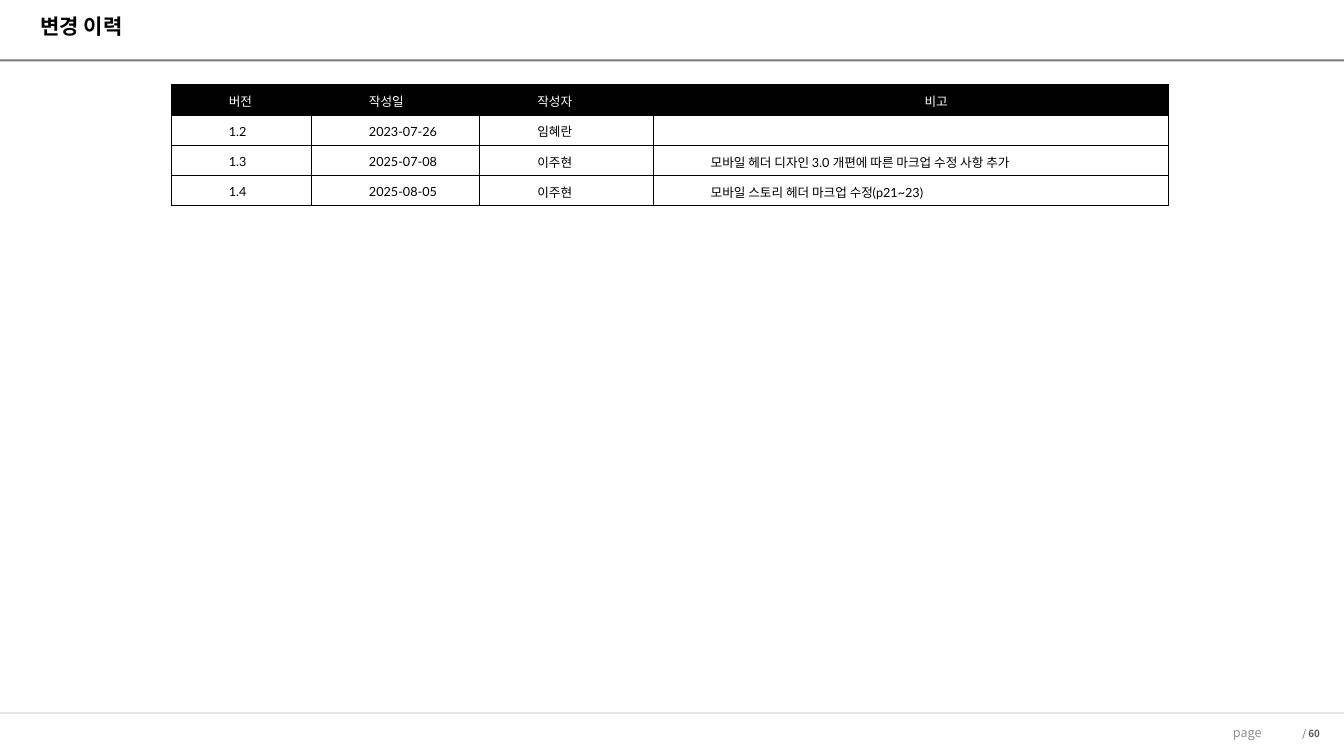
from dataclasses import dataclass
from typing import Any

from lxml.etree import SubElement
from pptx import Presentation
from pptx.dml.color import RGBColor
from pptx.enum.shapes import MSO_SHAPE
from pptx.enum.text import MSO_ANCHOR, PP_ALIGN
from pptx.oxml.ns import qn
from pptx.util import Inches, Pt

HUES = {"black": "000000", "white": "FFFFFF", "rule": "777777",
        "pale": "BEBEBE", "page": "909090", "count": "595959"}
SANS = "Noto Sans CJK KR"
WIDE = 13.33


@dataclass
class Bar:
    top: float
    high: float
    hue: str


@dataclass
class Word:
    text: str
    size: float
    hue: str
    font: str = SANS
    bold: bool = False


@dataclass
class Note:
    left: float
    top: float
    wide: float
    high: float
    words: list[Word]
    form: dict[str, Any]
    align: PP_ALIGN


BARS = [Bar(0.59, 0.02, "rule"), Bar(7.07, 0.01, "pale"), Bar(7.08, 0.01, "white")]
NOTES = [
    Note(12.13, 7.14, 0.49, 0.25, [Word("page", 9, "page")],
         {"word_wrap": False}, PP_ALIGN.LEFT),
    Note(8.4, 7.14, 4.81, 0.27,
         [Word(" / ", 7, "count"), Word("60 ", 7, "count", bold=True)],
         {"word_wrap": True, "vertical_anchor": MSO_ANCHOR.MIDDLE}, PP_ALIGN.RIGHT),
]
COLS = [1.39, 1.67, 1.72, 5.11]
HEAD = [("버전", "Lato"), ("작성일", "Arial Narrow"),
        ("작성자", "Arial Narrow"), ("비고", "Lato")]
ROWS = [
    ["1.2", "2023-07-26", "임혜란", ""],
    ["1.3", "2025-07-08", "이주현", "모바일 헤더 디자인 3.0 개편에 따른 마크업 수정 사항 추가"],
    ["1.4", "2025-08-05", "이주현", "모바일 스토리 헤더 마크업 수정(p21~23)"],
]
CELL = {"margin_left": Inches(0.07), "margin_right": Inches(0.07),
        "margin_top": 0, "margin_bottom": 0, "vertical_anchor": MSO_ANCHOR.MIDDLE}
PARA = {"line_spacing": 1.15, "space_after": Pt(10)}
PLAIN = {"first_row": False, "horz_banding": False}


def tint(name: str) -> RGBColor:
    return RGBColor.from_string(HUES[name])


def apply(item: Any, form: dict[str, Any]) -> None:
    for key, value in form.items():
        setattr(item, key, value)


def write(para: Any, word: Word) -> None:
    run = para.add_run()
    run.text = word.text
    apply(run.font, {"name": word.font, "size": Pt(word.size), "bold": word.bold})
    run.font.color.rgb = tint(word.hue)
    SubElement(run._r.get_or_add_rPr(), qn("a:ea"), typeface=SANS)


def draw_bar(slide: Any, bar: Bar) -> None:
    shape = slide.shapes.add_shape(MSO_SHAPE.RECTANGLE, 0, Inches(bar.top),
                                   Inches(WIDE), Inches(bar.high))
    shape.shadow.inherit = False
    shape.fill.solid()
    shape.fill.fore_color.rgb = tint(bar.hue)
    shape.line.fill.background()


def draw_note(slide: Any, note: Note) -> None:
    box = slide.shapes.add_textbox(Inches(note.left), Inches(note.top),
                                   Inches(note.wide), Inches(note.high))
    apply(box.text_frame, note.form)
    para = box.text_frame.paragraphs[0]
    para.alignment = note.align
    for word in note.words:
        write(para, word)


def draw_title(slide: Any, word: Word) -> None:
    title = slide.shapes.title
    apply(title, {"left": Inches(0.3), "top": Inches(0.11),
                  "width": Inches(12.9), "height": Inches(0.47)})
    apply(title.text_frame, {"word_wrap": True, "vertical_anchor": MSO_ANCHOR.TOP})
    para = title.text_frame.paragraphs[0]
    apply(para, {"alignment": PP_ALIGN.LEFT, "line_spacing": 0.9})
    write(para, word)


def edge(cell: Any) -> None:
    props = cell._tc.get_or_add_tcPr()
    for side in ("lnL", "lnR", "lnT", "lnB"):
        line = SubElement(props, qn(f"a:{side}"), w=str(Pt(1)))
        fill = SubElement(line, qn("a:solidFill"))
        SubElement(fill, qn("a:srgbClr"), val=HUES["black"])


def draw_cell(cell: Any, word: Word, head: bool, align: PP_ALIGN) -> None:
    apply(cell, CELL)
    edge(cell)
    if head:
        cell.fill.solid()
        cell.fill.fore_color.rgb = tint("black")
    else:
        cell.fill.background()
    para = cell.text_frame.paragraphs[0]
    apply(para, PARA | {"alignment": align})
    para._p.get_or_add_pPr().set("marL", str(Inches(0.5)))
    if word.text:
        write(para, word)
    else:
        SubElement(para._p, qn("a:endParaRPr"), sz=str(int(word.size * 100)))


def draw_table(slide: Any) -> None:
    grid = [[Word(text, 9, "white", font) for text, font in HEAD]]
    grid += [[Word(text, 9, "black", "Lato") for text in row] for row in ROWS]
    frame = slide.shapes.add_table(len(grid), len(COLS), Inches(1.7), Inches(0.84),
                                   Inches(sum(COLS)), Inches(0.3 * len(grid)))
    table = frame.table
    apply(table, PLAIN)
    for col, wide in zip(table.columns, COLS):
        col.width = Inches(wide)
    for r, row in enumerate(grid):
        table.rows[r].height = Inches(0.3)
        for c, word in enumerate(row):
            mid = r == 0 and c == len(COLS) - 1
            draw_cell(table.cell(r, c), word, r == 0,
                      PP_ALIGN.CENTER if mid else PP_ALIGN.LEFT)


def main() -> None:
    deck = Presentation()
    apply(deck, {"slide_width": Inches(WIDE), "slide_height": Inches(7.5)})
    slide = deck.slides.add_slide(deck.slide_layouts[5])
    for bar in BARS:
        draw_bar(slide, bar)
    for note in NOTES:
        draw_note(slide, note)
    draw_title(slide, Word("변경 이력", 15, "black", bold=True))
    draw_table(slide)
    deck.save("out.pptx")


if __name__ == "__main__":
    main()
